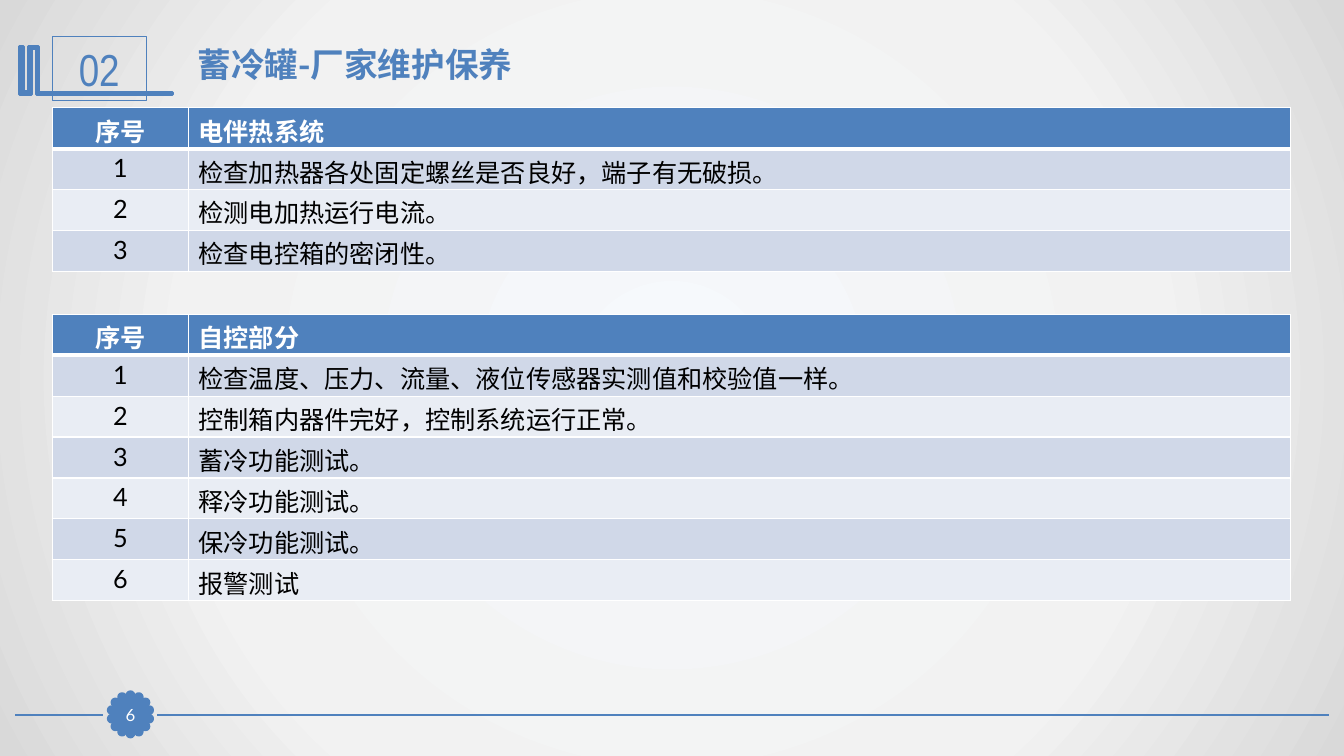
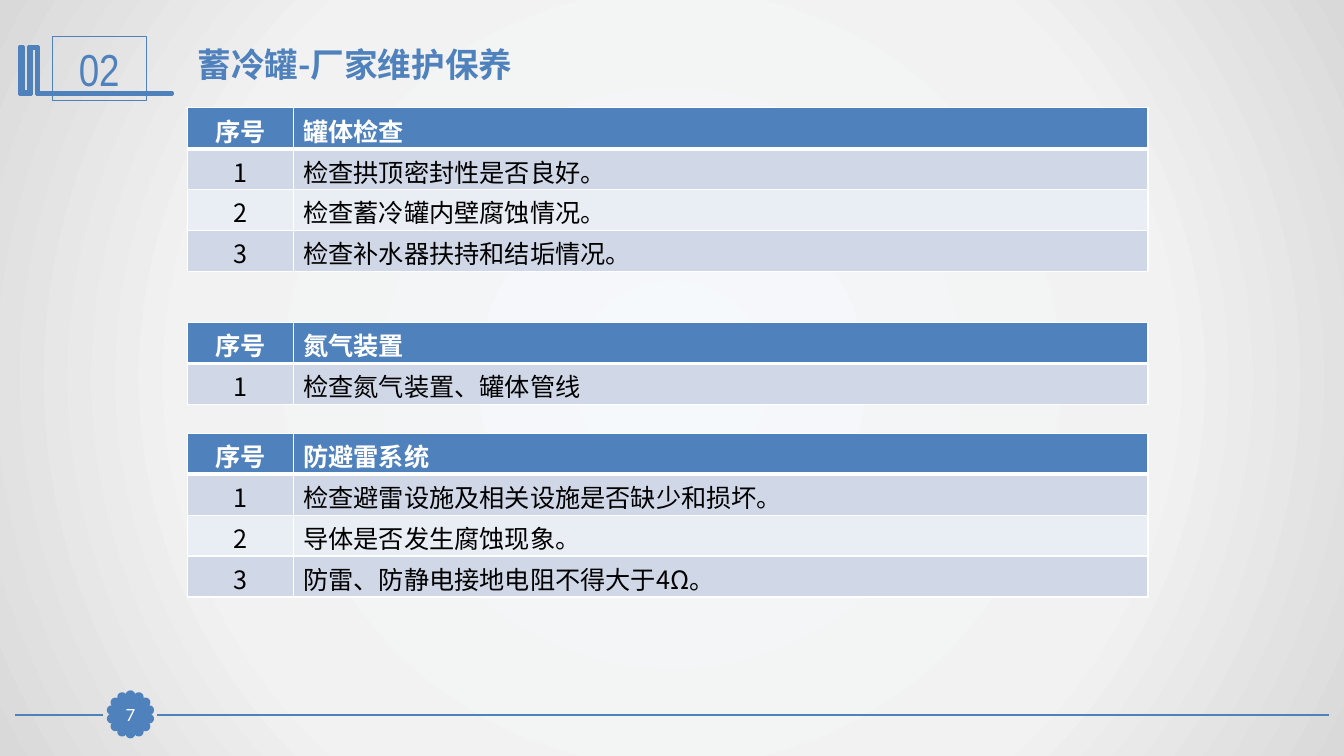
import math

import pptx
import pptx.dml.color
import pptx.enum.shapes
import pptx.enum.text
import pptx.oxml
import pptx.oxml.ns
import pptx.util
from lxml import etree

Pt = pptx.util.Pt
qn = pptx.oxml.ns.qn
ALIGN = pptx.enum.text.PP_ALIGN
ANCHOR = pptx.enum.text.MSO_ANCHOR
SHAPE = pptx.enum.shapes.MSO_SHAPE

BLUE, WHITE, BLACK = "4F81BD", "FFFFFF", "000000"
BANDS = ("D0D8E8", "E9EDF4")
BACKDROP = ((0, "F6F9FC"), (63, "F2F2F2"), (100, "D9D9D9"))
CJK, LATIN, NARROW = "Noto Sans CJK SC", "Lato", "Arial Narrow"
ROW_HEIGHT = 29.2
EMBLEM = (
    (26.6, 33.1), (27.4, 33.1), (27.4, 66.2), (123.1, 66.2), (123.1, 67.7),
    (25.9, 67.7), (25.9, 34.6), (22.3, 34.6), (22.3, 67.7), (13.7, 67.7),
    (13.7, 33.1), (16.6, 33.1), (16.6, 65.5), (20.2, 65.5), (20.2, 33.1),
)

SLIDES = (
    dict(number=6, left=37.4, widths=(97.2, 787), font=LATIN, tables=(
        (77, "电伴热系统", (
            "检查加热器各处固定螺丝是否良好，端子有无破损。",
            "检测电加热运行电流。",
            "检查电控箱的密闭性。")),
        (224.6, "自控部分", (
            "检查温度、压力、流量、液位传感器实测值和校验值一样。",
            "控制箱内器件完好，控制系统运行正常。",
            "蓄冷功能测试。",
            "释冷功能测试。",
            "保冷功能测试。",
            "报警测试")),
    )),
    dict(number=7, left=133.9, widths=(75.6, 610.6), font=CJK, tables=(
        (77, "罐体检查", (
            "检查拱顶密封性是否良好。",
            "检查蓄冷罐内壁腐蚀情况。",
            "检查补水器扶持和结垢情况。")),
        (230.4, "氮气装置", ("检查氮气装置、罐体管线",)),
        (309.6, "防避雷系统", (
            "检查避雷设施及相关设施是否缺少和损坏。",
            "导体是否发生腐蚀现象。",
            "防雷、防静电接地电阻不得大于4Ω。")),
    )),
)


def rgb(color):
    return pptx.dml.color.RGBColor.from_string(color)


class Deck:
    """Holds the presentation, its style and the slide being drawn."""

    def __init__(self):
        self.prs = pptx.Presentation()
        self.prs.slide_width, self.prs.slide_height = Pt(960), Pt(540)
        self.set_background()

    def set_background(self):
        """Give the master a radial gradient."""
        master = self.prs.slide_master
        master.background.fill.solid()
        stops = "".join(
            f'<a:gs pos="{pos * 1000}"><a:srgbClr val="{color}"/></a:gs>'
            for pos, color in BACKDROP)
        gradient = pptx.oxml.parse_xml(
            f'<a:gradFill {pptx.oxml.ns.nsdecls("a")} rotWithShape="1">'
            f'<a:gsLst>{stops}</a:gsLst><a:path path="circle">'
            '<a:fillToRect l="50000" t="50000" r="50000" b="50000"/>'
            '</a:path></a:gradFill>')
        solid = master.element.find(".//" + qn("p:bgPr")).find(qn("a:solidFill"))
        solid.getparent().replace(solid, gradient)

    def new_slide(self):
        self.slide = self.prs.slides.add_slide(self.prs.slide_layouts[5])

    def add_text(self, tf, text, size, font, color, bold=False, align=ALIGN.LEFT):
        p = tf.paragraphs[0]
        p.alignment = align
        r = p.add_run()
        r.text = text
        r.font.size, r.font.bold, r.font.name = Pt(size), bold, font
        r.font.color.rgb = rgb(color)
        etree.SubElement(r._r.get_or_add_rPr(), qn("a:ea")).set("typeface", CJK)

    def set_margins(self, tf, left=0, top=0, right=0, bottom=0):
        tf.margin_left, tf.margin_top = Pt(left), Pt(top)
        tf.margin_right, tf.margin_bottom = Pt(right), Pt(bottom)

    def paint(self, sp, fill, width):
        sp.shadow.inherit = False
        if fill:
            sp.fill.solid()
            sp.fill.fore_color.rgb = rgb(fill)
        else:
            sp.fill.background()
        sp.line.color.rgb = rgb(BLUE)
        sp.line.width = Pt(width)

    def shape(self, kind, left, top, width, height, fill=BLUE, line=0.75):
        sp = self.slide.shapes.add_shape(
            kind, Pt(left), Pt(top), Pt(width), Pt(height))
        self.paint(sp, fill, line)
        return sp

    def label(self, sp, text, size, font, color):
        """Centre one line of text in a shape."""
        tf = sp.text_frame
        self.set_margins(tf)
        tf.vertical_anchor = ANCHOR.MIDDLE
        self.add_text(tf, text, size, font, color, align=ALIGN.CENTER)

    def rule(self, x1, x2, y):
        cn = self.slide.shapes.add_connector(
            pptx.enum.shapes.MSO_CONNECTOR.STRAIGHT, Pt(x1), Pt(y), Pt(x2), Pt(y))
        cn.line.color.rgb = rgb(BLUE)
        cn.line.width = Pt(1.25)
        etree.SubElement(cn._element.spPr, qn("a:effectLst"))

    def header(self, section, text):
        points = [(Pt(x), Pt(y)) for x, y in EMBLEM]
        builder = self.slide.shapes.build_freeform(*points[0], scale=1.0)
        builder.add_line_segments(points[1:], close=True)
        self.paint(builder.convert_to_shape(), BLUE, 2)
        box = self.shape(SHAPE.RECTANGLE, 37.4, 25.9, 67, 46.1, fill=None)
        self.label(box, section, 32, NARROW, BLUE)

        title = self.slide.shapes.title
        title.left, title.top = Pt(133.9), Pt(31.7)
        title.width, title.height = Pt(697.7), Pt(36)
        tf = title.text_frame
        tf.word_wrap = True
        tf.auto_size = pptx.enum.text.MSO_AUTO_SIZE.NONE
        tf.vertical_anchor = ANCHOR.TOP
        self.set_margins(tf, left=7.2, right=7.2)
        self.add_text(tf, text, 24, CJK, BLUE, bold=True)

    def footer(self, number, petals=14):
        """Draw the page number in a scalloped badge between two rules."""
        x, y, radius, dot = 93.2, 510.3, 13.7, 5
        self.rule(112.3, 949, 510.5)
        self.rule(10.8, 73.4, 510.5)
        for i in range(petals):
            angle = 2 * math.pi * i / petals
            self.shape(SHAPE.OVAL, x + radius * math.sin(angle) - dot / 2,
                       y - radius * math.cos(angle) - dot / 2, dot, dot, line=2)
        badge = self.shape(SHAPE.RECTANGLE, x - 11.5, y - 11.2, 23, 22.4)
        self.label(badge, str(number), 12, LATIN, WHITE)

    def cell_borders(self, cell, top, bottom):
        tcPr = cell._tc.get_or_add_tcPr()
        for side, width in (("L", 1), ("R", 1), ("T", top), ("B", bottom)):
            ln = etree.SubElement(tcPr, qn("a:ln" + side), w=str(Pt(width)))
            solid = etree.SubElement(ln, qn("a:solidFill"))
            etree.SubElement(solid, qn("a:srgbClr"), val=WHITE)

    def table(self, left, top, widths, heading, items, font):
        """Draw a numbered list as a table under a heading row."""
        rows = [("序号", heading)]
        rows += [(str(n), item) for n, item in enumerate(items, 1)]
        table = self.slide.shapes.add_table(
            len(rows), len(widths), Pt(left), Pt(top), Pt(sum(widths)),
            Pt(ROW_HEIGHT * len(rows))).table
        for column, width in zip(table.columns, widths):
            column.width = Pt(width)
        for i, texts in enumerate(rows):
            table.rows[i].height = Pt(ROW_HEIGHT)
            is_head = i == 0
            for j, text in enumerate(texts):
                cell = table.cell(i, j)
                self.cell_borders(cell, 3 if i == 1 else 1, 3 if is_head else 1)
                cell.fill.solid()
                cell.fill.fore_color.rgb = rgb(
                    BLUE if is_head else BANDS[(i - 1) % 2])
                self.set_margins(cell, left=7.2, top=3, right=7.2)
                self.add_text(cell.text_frame, text, 18, font,
                              WHITE if is_head else BLACK, bold=is_head,
                              align=ALIGN.LEFT if j else ALIGN.CENTER)


def main():
    deck = Deck()
    for page in SLIDES:
        deck.new_slide()
        deck.footer(page["number"])
        deck.header("02", "蓄冷罐-厂家维护保养")
        for top, heading, items in page["tables"]:
            deck.table(page["left"], top, page["widths"], heading, items,
                       page["font"])
    deck.prs.save("out.pptx")


if __name__ == "__main__":
    main()
